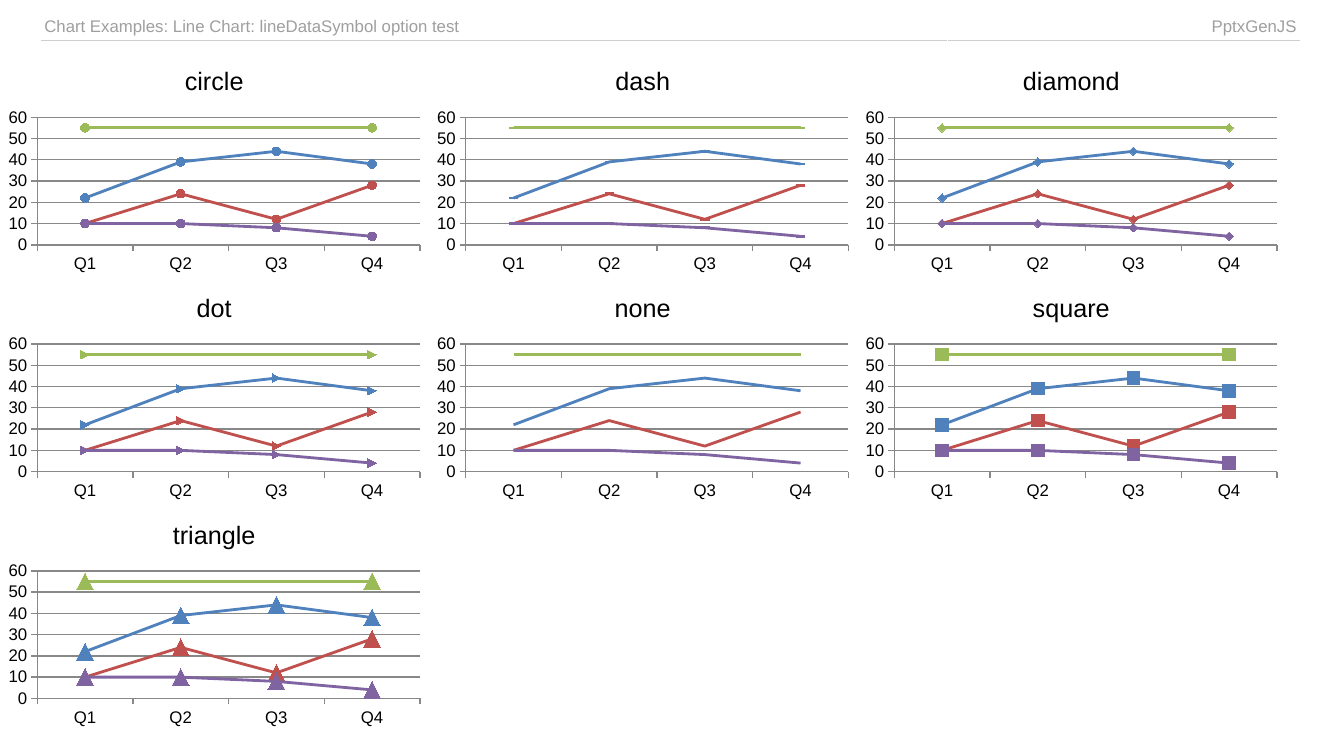
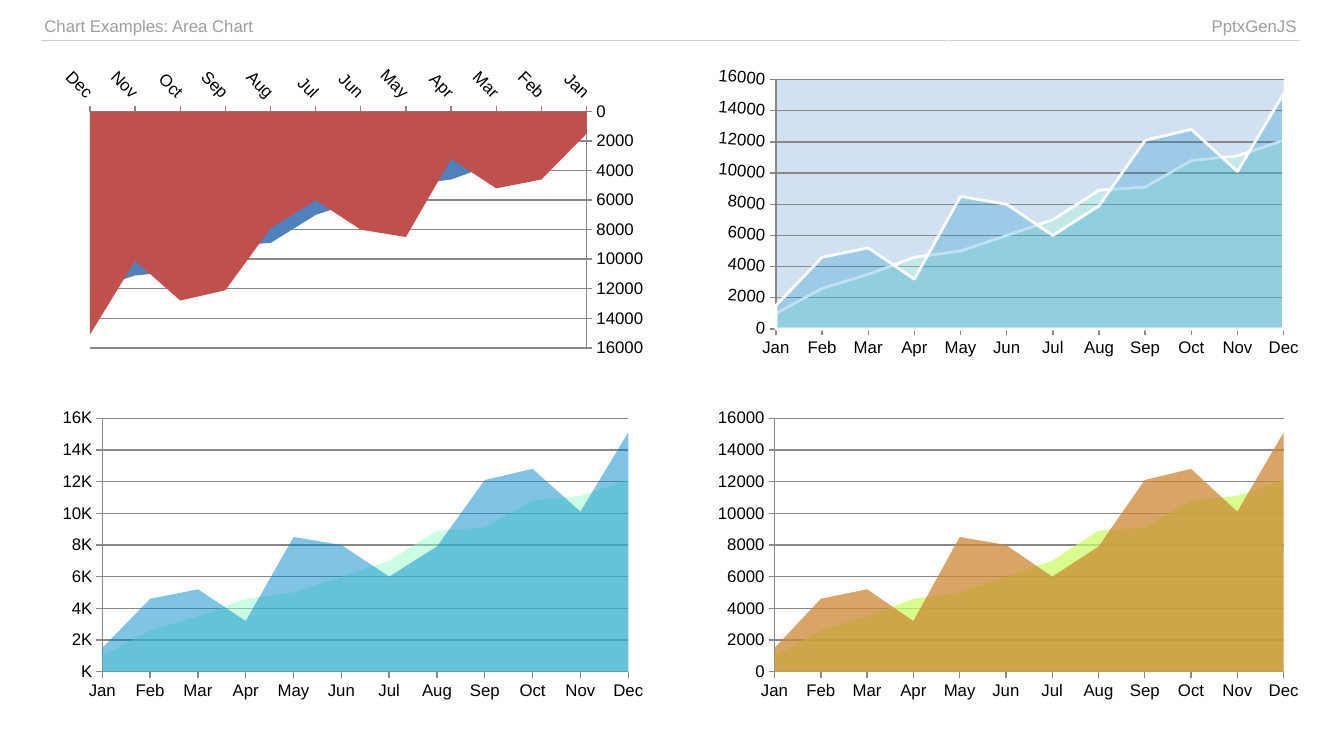
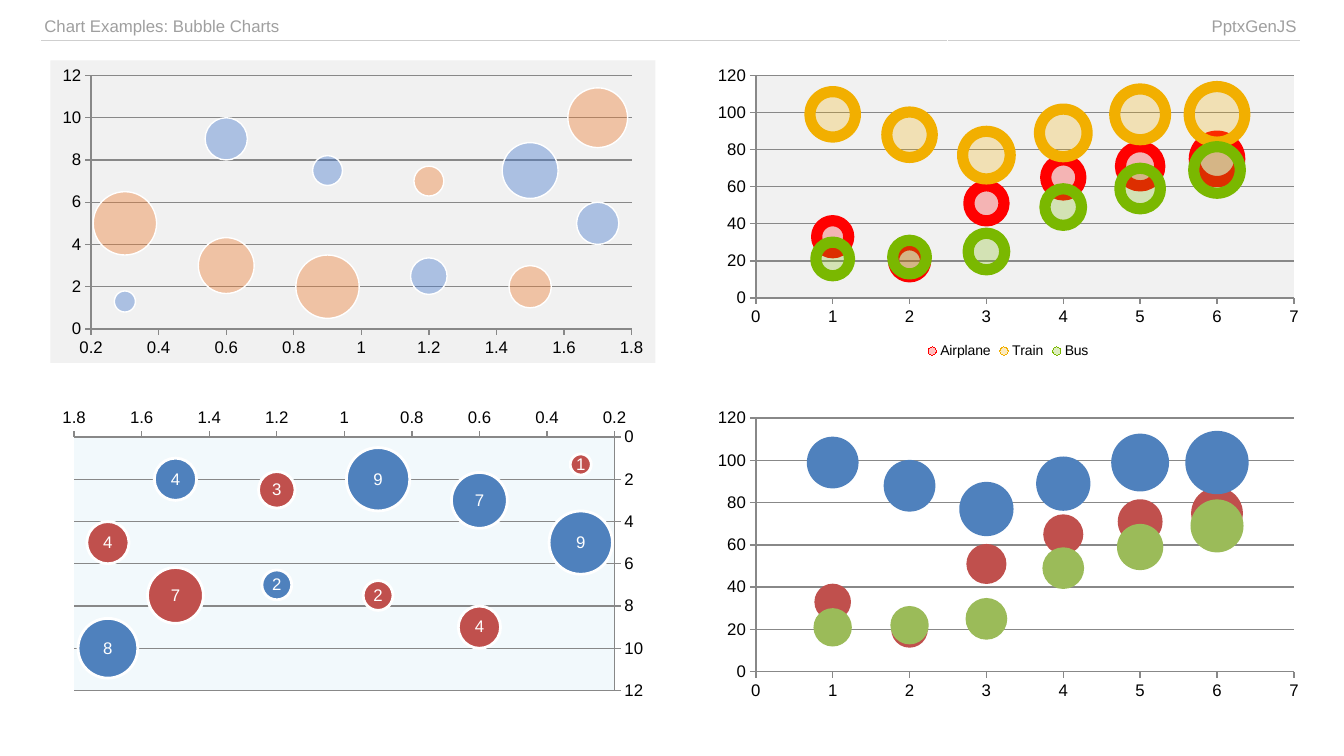
from dataclasses import dataclass

from lxml.etree import SubElement
from pptx import Presentation
from pptx.chart.data import BubbleChartData, CategoryChartData
from pptx.chart.datalabel import DataLabels
from pptx.dml.color import RGBColor
from pptx.enum.chart import (XL_CHART_TYPE, XL_LABEL_POSITION, XL_LEGEND_POSITION,
                             XL_MARKER_STYLE, XL_TICK_LABEL_POSITION, XL_TICK_MARK)
from pptx.enum.shapes import MSO_SHAPE
from pptx.enum.text import PP_ALIGN
from pptx.oxml import parse_xml
from pptx.oxml.ns import nsdecls, qn
from pptx.util import Inches, Pt


@dataclass(frozen=True)
class Theme:
    font: str = "Arial"
    black: str = "000000"
    white: str = "FFFFFF"
    header: str = "9F9F9F"
    rule: str = "CFCFCF"
    axis: str = "888888"
    panel: str = "F1F1F1"
    sky: str = "D1E1F1"
    mist: str = "F2F9FC"
    series: tuple = ("C0504D", "4F81BD", "9BBB59", "8064A2")
    ocean: tuple = ("0088CC", "99FFCC")
    autumn: tuple = ("CC8833", "CCFF69")
    contrast: tuple = ("4477CC", "ED7D31")
    travel: tuple = ("FF0000", "F2AF00", "7AB800")
    title_size: int = 18
    text_size: int = 12
    legend_size: int = 10


THEME = Theme()

QUARTERS = ["Q1", "Q2", "Q3", "Q4"]
QUARTER_SERIES = [
    ("Series 1", [10, 24, 12, 28]),
    ("Series 2", [22, 39, 44, 38]),
    ("Series 3", [55, None, None, 55]),
    ("Series 4", [10, 10, 8, 4]),
]
MARKER_SIZES = {"circle": 6, "dash": 6, "diamond": 6, "dot": 6,
                "none": 6, "square": 9, "triangle": 12}

MONTHS = ["Jan", "Feb", "Mar", "Apr", "May", "Jun",
          "Jul", "Aug", "Sep", "Oct", "Nov", "Dec"]
MONTH_SERIES = [
    ("Series 1", [1500, 4600, 5200, 3200, 8500, 8000,
                  6000, 7900, 12100, 12800, 10100, 15100]),
    ("Series 2", [1000, 2600, 3500, 4600, 5000, 6000,
                  7000, 8900, 9100, 10800, 11100, 12100]),
]

# Bubble series: name, x values, y values, sizes
SPREAD_X = [0.3, 0.6, 0.9, 1.2, 1.5, 1.7]
SPREAD_SERIES = [
    ("Series 1", SPREAD_X, [1.3, 9, 7.5, 2.5, 7.5, 5], [1, 4, 2, 3, 7, 4]),
    ("Series 2", SPREAD_X, [5, 3, 2, 7, 2, 10], [9, 7, 9, 2, 4, 8]),
]
TRAVEL_X = [1, 2, 3, 4, 5, 6]
TRAVEL_SERIES = [
    ("Airplane", TRAVEL_X, [33, 20, 51, 65, 71, 75], [10, 10, 12, 12, 15, 20]),
    ("Train", TRAVEL_X, [99, 88, 77, 89, 99, 99], [20, 20, 22, 22, 25, 30]),
    ("Bus", TRAVEL_X, [21, 22, 25, 49, 59, 69], [11, 11, 13, 13, 16, 21]),
]
PLAIN_TRAVEL_SERIES = [(f"Series {number}", *values) for number, (_, *values)
                       in enumerate(TRAVEL_SERIES, 1)]

QUADRANTS = [(left, top, 6, 3) for top in (0.6, 4) for left in (0.5, 7)]


def apply(target, formats):
    for name, value in formats.items():
        setattr(target, name, value)


def category_data(categories, series):
    data = CategoryChartData()
    data.categories = categories
    for name, values in series:
        data.add_series(name, values)
    return data


def bubble_data(series):
    data = BubbleChartData()
    for name, *columns in series:
        points = data.add_series(name)
        for x, y, size in zip(*columns):
            points.add_data_point(x, y, size)
    return data


class Deck:
    def __init__(self, theme):
        self.theme = theme
        self.deck = Presentation()
        apply(self.deck, {"slide_width": Inches(13.33), "slide_height": Inches(7.5)})
        self.page = None

    def style_font(self, font, size, color):
        apply(font, {"name": self.theme.font, "size": Pt(size), "bold": False})
        font.color.rgb = RGBColor.from_string(color)

    def style_line(self, line, color, width):
        line.color.rgb = RGBColor.from_string(color)
        line.width = Pt(width)

    def style_fill(self, fill, color):
        fill.solid()
        fill.fore_color.rgb = RGBColor.from_string(color)

    def add_page(self, title):
        """Start a slide with the ruled header table."""
        self.page = self.deck.slides.add_slide(self.deck.slide_layouts[6])
        table = self.page.shapes.add_table(
            1, 2, Inches(0.4), Inches(0.13), Inches(12.5), Inches(0.27)).table
        apply(table, {"first_row": False, "horz_banding": False})
        entries = [(title, 9, PP_ALIGN.LEFT), ("PptxGenJS", 3.5, PP_ALIGN.RIGHT)]
        for index, (text, width, alignment) in enumerate(entries):
            table.columns[index].width = Inches(width)
            cell = table.cell(0, index)
            apply(cell, {f"margin_{side}": Inches(0.04)
                         for side in ("left", "right", "top", "bottom")})
            cell.fill.background()
            cell.text = text
            para = cell.text_frame.paragraphs[0]
            para.alignment = alignment
            self.style_font(para.runs[0].font, self.theme.text_size, self.theme.header)
            cell._tc.tcPr.insert(0, parse_xml(
                f'<a:lnB {nsdecls("a")} w="12700"><a:solidFill>'
                f'<a:srgbClr val="{self.theme.rule}"/></a:solidFill></a:lnB>'))

    def add_panel(self, place):
        panel = self.page.shapes.add_shape(MSO_SHAPE.RECTANGLE, *map(Inches, place))
        panel.shadow.inherit = False
        self.style_fill(panel.fill, self.theme.panel)
        panel.line.fill.background()

    def add_chart(self, kind, place, data, title=None, reverse=False, plot_fill=None):
        chart = self.page.shapes.add_chart(kind, *map(Inches, place), data).chart
        apply(chart, {"has_title": bool(title), "has_legend": False})
        self.style_font(chart.font, self.theme.legend_size, self.theme.black)
        if title:
            frame = chart.chart_title.text_frame
            frame.text = title
            self.style_font(frame.paragraphs[0].runs[0].font,
                            self.theme.title_size, self.theme.black)
        for axis in (chart.category_axis, chart.value_axis):
            self.style_axis(axis, reverse)
        chart.category_axis.has_major_gridlines = False
        chart.category_axis.tick_label_position = XL_TICK_LABEL_POSITION.LOW
        chart.value_axis.has_major_gridlines = True
        self.style_line(chart.value_axis.major_gridlines.format.line, self.theme.axis, 1)
        if plot_fill:
            plot_area = chart._chartSpace.xpath("c:chart/c:plotArea")[0]
            fill = SubElement(SubElement(plot_area, qn("c:spPr")), qn("a:solidFill"))
            SubElement(fill, qn("a:srgbClr"), val=plot_fill)
        return chart

    def style_axis(self, axis, reverse):
        apply(axis, {"major_tick_mark": XL_TICK_MARK.OUTSIDE,
                     "minor_tick_mark": XL_TICK_MARK.NONE,
                     "reverse_order": reverse,
                     "tick_label_position": XL_TICK_LABEL_POSITION.NEXT_TO_AXIS})
        apply(axis.tick_labels, {"number_format": "General",
                                 "number_format_is_linked": False})
        self.style_font(axis.tick_labels.font, self.theme.text_size, self.theme.black)
        self.style_line(axis.format.line, self.theme.axis, 1)

    def rotate_labels(self, axis, degrees):
        body = axis._element.xpath("c:txPr/a:bodyPr")[0]
        body.set("rot", str(degrees * 60000))
        body.set("vert", "horz")

    def fill_series(self, chart, colors, opacity=100, line=None, width=1):
        """Fill each series; line is one colour, or "same" for the fill colour."""
        for series, color in zip(chart.plots[0].series, colors):
            self.style_fill(series.format.fill, color)
            if opacity < 100:
                tint = series._element.xpath("c:spPr/a:solidFill/a:srgbClr")[0]
                SubElement(tint, qn("a:alpha"), val=str(opacity * 1000))
            if line:
                self.style_line(series.format.line, color if line == "same" else line, width)
            else:
                series.format.line.fill.background()

    def add_line_chart(self, place, marker_name, marker_size):
        chart = self.add_chart(XL_CHART_TYPE.LINE_MARKERS, place,
                               category_data(QUARTERS, QUARTER_SERIES), title=marker_name)
        chart.plots[0].vary_by_categories = False
        chart._chartSpace.xpath("c:chart/c:dispBlanksAs")[0].set("val", "span")
        for series, color in zip(chart.plots[0].series, self.theme.series):
            series.smooth = False
            self.style_line(series.format.line, color, 2)
            marker = series.marker
            apply(marker, {"style": XL_MARKER_STYLE[marker_name.upper()],
                           "size": marker_size})
            self.style_fill(marker.format.fill, color)
            marker.format.line.color.rgb = RGBColor.from_string(color)

    def add_area_chart(self, place, colors, opacity=100, line=None, width=1, **options):
        chart = self.add_chart(XL_CHART_TYPE.AREA, place,
                               category_data(MONTHS, MONTH_SERIES), **options)
        chart.plots[0].vary_by_categories = False
        self.fill_series(chart, colors, opacity, line, width)
        return chart

    def add_bubble_chart(self, place, series, colors, opacity=100, line=None, width=1,
                         **options):
        chart = self.add_chart(XL_CHART_TYPE.BUBBLE, place, bubble_data(series), **options)
        self.fill_series(chart, colors, opacity, line, width)
        return chart

    def add_legend(self, chart):
        chart.has_legend = True
        apply(chart.legend, {"position": XL_LEGEND_POSITION.BOTTOM,
                             "include_in_layout": False})
        self.style_font(chart.legend.font, self.theme.legend_size, self.theme.black)

    def add_labels(self, chart):
        for series in chart.plots[0].series:
            labels = DataLabels(series._element.get_or_add_dLbls())
            apply(labels, {"show_value": True, "number_format": "#,##0",
                           "number_format_is_linked": False,
                           "position": XL_LABEL_POSITION.CENTER})
            self.style_font(labels.font, self.theme.text_size, self.theme.white)


def build_line_page(deck):
    deck.add_page("Chart Examples: Line Chart: lineDataSymbol option test")
    width, height = 4.25, 2.25
    for index, (name, size) in enumerate(MARKER_SIZES.items()):
        row, column = divmod(index, 3)
        deck.add_line_chart((column * width, 0.5 + row * height, width, height), name, size)


def build_area_page(deck):
    deck.add_page("Chart Examples: Area Chart")
    theme = deck.theme
    reversed_chart = deck.add_area_chart(QUADRANTS[0], theme.series, reverse=True)
    deck.rotate_labels(reversed_chart.category_axis, 45)
    outlined = deck.add_area_chart(QUADRANTS[1], theme.ocean, 25, theme.white, 2,
                                   plot_fill=theme.sky)
    deck.rotate_labels(outlined.value_axis, 5)
    thousands = deck.add_area_chart(QUADRANTS[2], theme.ocean, 50)
    thousands.value_axis.tick_labels.number_format = "#,K"
    deck.add_area_chart(QUADRANTS[3], theme.autumn, 75)


def build_bubble_page(deck):
    deck.add_page("Chart Examples: Bubble Charts")
    theme = deck.theme
    deck.add_panel(QUADRANTS[0])
    deck.add_bubble_chart(QUADRANTS[0], SPREAD_SERIES, theme.contrast, 40, theme.white)
    travel = deck.add_bubble_chart(QUADRANTS[1], TRAVEL_SERIES, theme.travel, 25, "same", 8,
                                   plot_fill=theme.panel)
    deck.add_legend(travel)
    labelled = deck.add_bubble_chart(QUADRANTS[2], SPREAD_SERIES, theme.series,
                                     line=theme.white, width=2,
                                     reverse=True, plot_fill=theme.mist)
    labelled.value_axis.minimum_scale = 0
    deck.add_labels(labelled)
    deck.add_bubble_chart(QUADRANTS[3], PLAIN_TRAVEL_SERIES, theme.series)


def main():
    deck = Deck(THEME)
    for build in (build_line_page, build_area_page, build_bubble_page):
        build(deck)
    deck.deck.save("out.pptx")


if __name__ == "__main__":
    main()
